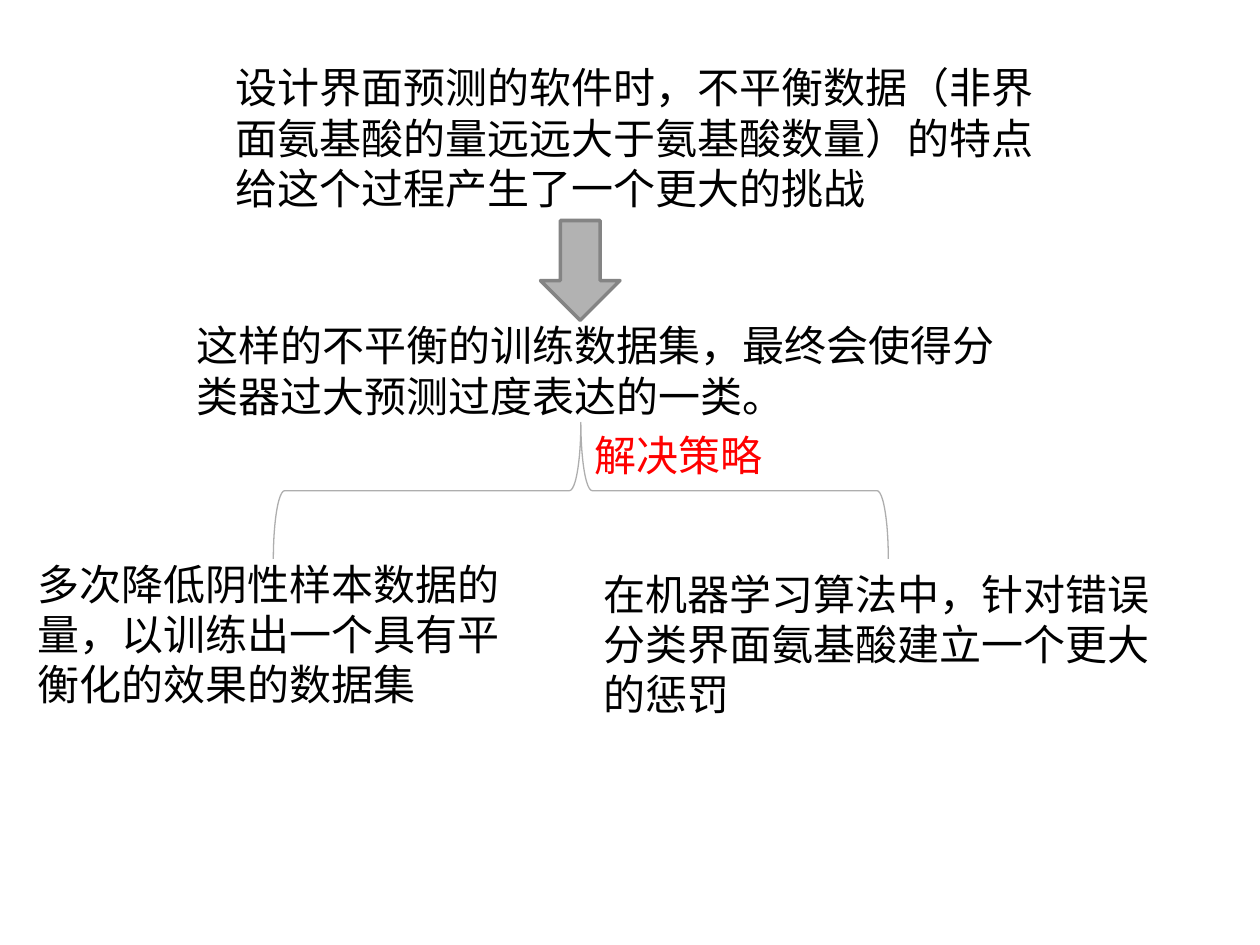
from pptx import Presentation
from pptx.dml.color import RGBColor
from pptx.enum.shapes import MSO_SHAPE
from pptx.enum.text import MSO_AUTO_SIZE
from pptx.util import Pt

DOWN_ARROW = MSO_SHAPE.DOWN_ARROW
LEFT_BRACE = MSO_SHAPE.LEFT_BRACE
FIT_SHAPE = MSO_AUTO_SIZE.SHAPE_TO_FIT_TEXT

COLORS = {
    "text": "000000",
    "accent": "FF0000",
    "arrow": "B2B2B2",
    "arrow_edge": "848484",
    "brace": "AEAEAE",
}
FONT = "Arial"


def color(key):
    """Return the palette colour called key."""
    return RGBColor.from_string(COLORS[key])


def add_text(slide, text, left, top, width, height, ink="text", size=24):
    """Add a wrapped text box whose lengths are in points."""
    box = slide.shapes.add_textbox(Pt(left), Pt(top), Pt(width), Pt(height))
    frame = box.text_frame
    frame.word_wrap = True
    frame.auto_size = FIT_SHAPE
    run = frame.paragraphs[0].add_run()
    run.text = text
    run.font.name = FONT
    run.font.size = Pt(size)
    run.font.color.rgb = color(ink)


def add_outline(slide, kind, left, top, width, height, edge, weight, fill=None):
    """Add a preset shape with an edge and an optional fill."""
    shape = slide.shapes.add_shape(kind, Pt(left), Pt(top), Pt(width), Pt(height))
    shape.shadow.inherit = False
    if fill:
        shape.fill.solid()
        shape.fill.fore_color.rgb = color(fill)
    else:
        shape.fill.background()
    shape.line.color.rgb = color(edge)
    shape.line.width = Pt(weight)
    return shape


def add_problem(slide, left, top, width):
    """Place the challenge, its consequence and the arrow between them."""
    indent, challenge_height = 22.3, 94.3
    text_width = width - indent
    add_text(slide, "设计界面预测的软件时，不平衡数据（非界面氨基酸的量远远大于氨基酸数量）"
             "的特点给这个过程产生了一个更大的挑战",
             left + indent, top, text_width, challenge_height)
    add_text(slide, "这样的不平衡的训练数据集，最终会使得分类器过大预测过度表达的一类。",
             left, top + 147.6, text_width, 65.5)
    add_outline(slide, DOWN_ARROW, left + 203.8, top + challenge_height, 45.4, 57,
                "arrow_edge", 2, fill="arrow")


def add_strategies(slide, left, top, width):
    """Place the two strategies below a labelled brace."""
    right_width = 345.6
    add_text(slide, "多次降低阴性样本数据的量，以训练出一个具有平衡化的效果的数据集",
             left, top + 85, 294.5, 94.3)
    add_text(slide, "在机器学习算法中，针对错误分类界面氨基酸建立一个更大的惩罚",
             left + width - right_width, top + 90.7, right_width, 94.3)
    depth, span = 78, 351.4
    brace_left = left + 141.8 + (span - depth) / 2
    brace_top = top + 11 - (span - depth) / 2
    brace = add_outline(slide, LEFT_BRACE, brace_left, brace_top, depth, span,
                        "brace", 0.75)
    brace.rotation = 90
    add_text(slide, "解决策略", left + 318, top + 11.5, 124.6, 36, ink="accent")


def main():
    """Build the slide on imbalanced training data and save it."""
    deck = Presentation()
    deck.slide_width, deck.slide_height = Pt(720), Pt(540)
    slide = deck.slides.add_slide(deck.slide_layouts[6])
    add_problem(slide, 105.1, 31.7, 509.7)
    add_strategies(slide, 14.4, 230.4, 668.9)
    deck.save("out.pptx")


if __name__ == "__main__":
    main()
